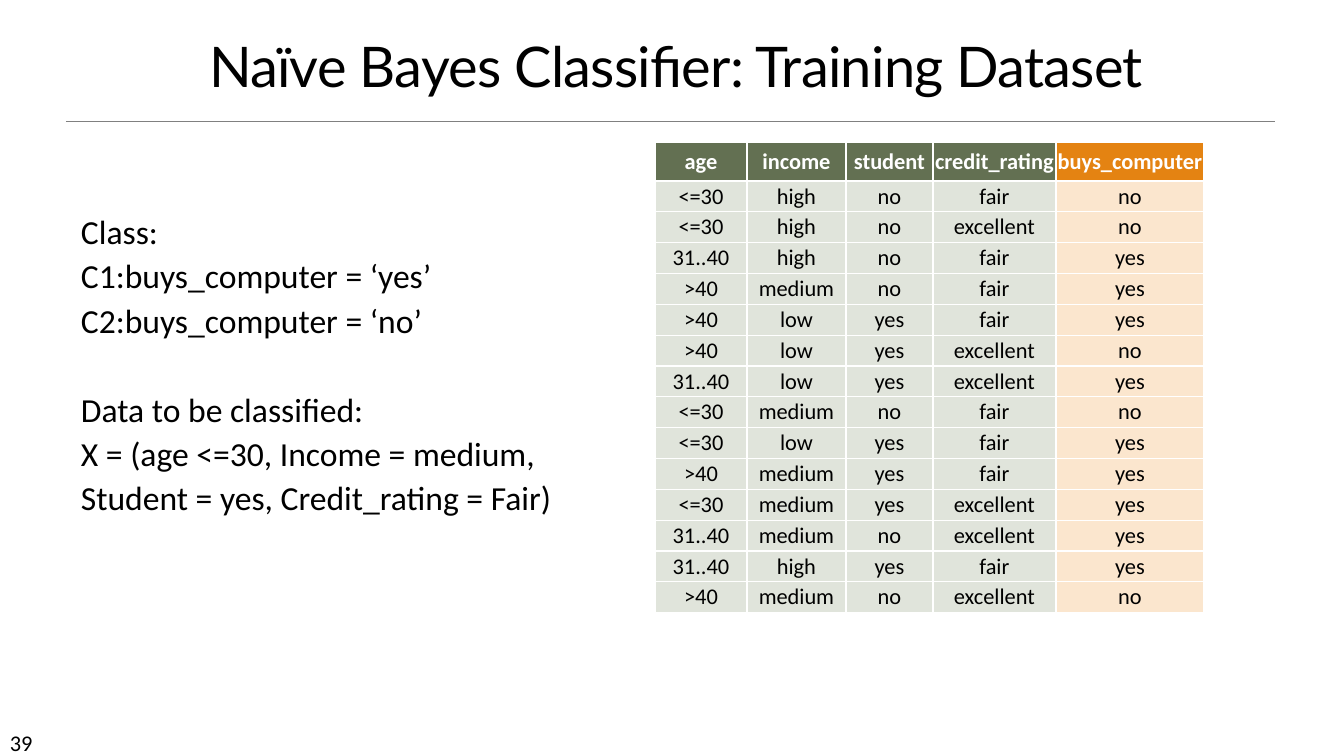
from lxml.etree import SubElement
from pptx import Presentation
from pptx.dml.color import RGBColor
from pptx.enum.shapes import MSO_CONNECTOR
from pptx.enum.text import MSO_ANCHOR, PP_ALIGN
from pptx.oxml.ns import qn
from pptx.util import Pt

# Content
TITLE = "Naïve Bayes Classifier: Training Dataset"
PAGE = "39"
NOTES = [
    ["Class:", "C1:buys_computer = ‘yes’", "C2:buys_computer = ‘no’"],
    ["Data to be classified:", "X = (age <=30, Income = medium,",
     "Student = yes, Credit_rating = Fair)"],
]
HEAD = ["age", "income", "student", "credit_rating", "buys_computer"]
DATA = [
    ("<=30", "high", "no", "fair", "no"),
    ("<=30", "high", "no", "excellent", "no"),
    ("31..40", "high", "no", "fair", "yes"),
    (">40", "medium", "no", "fair", "yes"),
    (">40", "low", "yes", "fair", "yes"),
    (">40", "low", "yes", "excellent", "no"),
    ("31..40", "low", "yes", "excellent", "yes"),
    ("<=30", "medium", "no", "fair", "no"),
    ("<=30", "low", "yes", "fair", "yes"),
    (">40", "medium", "yes", "fair", "yes"),
    ("<=30", "medium", "yes", "excellent", "yes"),
    ("31..40", "medium", "no", "excellent", "yes"),
    ("31..40", "high", "yes", "fair", "yes"),
    (">40", "medium", "no", "excellent", "no"),
]

# Theme and layout, lengths in px
THEME = {
    "ink": "000000", "white": "FFFFFF", "rule": "808080",
    "head": ("637052", "E48312"), "body": ("E0E4DB", "FBE6CE"),
    "title": 40, "text": 24, "small": 16,
    "face": "Calibri", "title face": "Lato",
}
WIDE, HIGH = 1344, 756
COLS = [92, 99, 87, 123, 148]
HEAD_H, BODY_H = 39, 432
BOXES = {
    "title": (59, 8, 1234, 96),
    "notes": (71, 202, 493, 324),
    "page": (0, 724, 118, 30),
    "table": (655, 142, sum(COLS), HEAD_H + BODY_H),
}
RULE = (66, 121, 1275, 121)


def px(n):
    return round(n * 914400 / 100.8)


def color(name):
    return RGBColor.from_string(name)


def apply(item, form):
    for key, value in form.items():
        setattr(item, key, value)


def write(para, text, size, ink=THEME["ink"], face=THEME["face"], bold=False, **form):
    run = para.add_run()
    run.text = text
    apply(run.font, {"size": Pt(size), "name": face, "bold": bold})
    run.font.color.rgb = color(ink)
    apply(para, form)
    return run


def frame(slide, name, **form):
    text = slide.shapes.add_textbox(*map(px, BOXES[name])).text_frame
    apply(text, {"word_wrap": True, **form})
    return text


def add_rule(slide):
    line = slide.shapes.add_connector(MSO_CONNECTOR.STRAIGHT, *map(px, RULE))
    line.line.color.rgb = color(THEME["rule"])
    line.line.width = Pt(0.5)
    SubElement(line._element.spPr, qn("a:effectLst"))


def add_title(slide):
    text = frame(slide, "title", vertical_anchor=MSO_ANCHOR.BOTTOM)
    run = write(text.paragraphs[0], TITLE, THEME["title"], face=THEME["title face"],
                alignment=PP_ALIGN.CENTER, line_spacing=0.85)
    run._r.get_or_add_rPr().set("spc", "-50")


def add_notes(slide):
    text = frame(slide, "notes")
    for g, group in enumerate(NOTES):
        for i, line in enumerate(group):
            first = g == i == 0
            para = text.paragraphs[0] if first else text.add_paragraph()
            write(para, line, THEME["text"], line_spacing=1.1)
            if g and not i:
                para.space_before = Pt(32)


def add_grid(slide):
    shape = slide.shapes.add_table(len(DATA) + 1, len(COLS), *map(px, BOXES["table"]))
    grid = shape.table
    apply(grid, {"first_row": False, "horz_banding": False})
    for col, wide in zip(grid.columns, COLS):
        col.width = px(wide)
    for r, (row, words) in enumerate(zip(grid.rows, [HEAD, *DATA])):
        top = r == 0
        row.height = px(HEAD_H if top else BODY_H / len(DATA))
        fills = THEME["head" if top else "body"]
        for c, (cell, word) in enumerate(zip(row.cells, words)):
            apply(cell, {"margin_left": 0, "margin_right": 0, "margin_top": 0,
                         "margin_bottom": 0, "vertical_anchor": MSO_ANCHOR.MIDDLE})
            cell.fill.solid()
            cell.fill.fore_color.rgb = color(fills[c == len(COLS) - 1])
            write(cell.text_frame.paragraphs[0], word, THEME["small"],
                  ink=THEME["white" if top else "ink"], bold=top,
                  alignment=PP_ALIGN.CENTER)


def main():
    deck = Presentation()
    apply(deck, {"slide_width": px(WIDE), "slide_height": px(HIGH)})
    slide = deck.slides.add_slide(deck.slide_layouts[6])
    add_rule(slide)
    write(frame(slide, "page").paragraphs[0], PAGE, THEME["small"])
    add_title(slide)
    add_notes(slide)
    add_grid(slide)
    deck.save("out.pptx")


if __name__ == "__main__":
    main()
